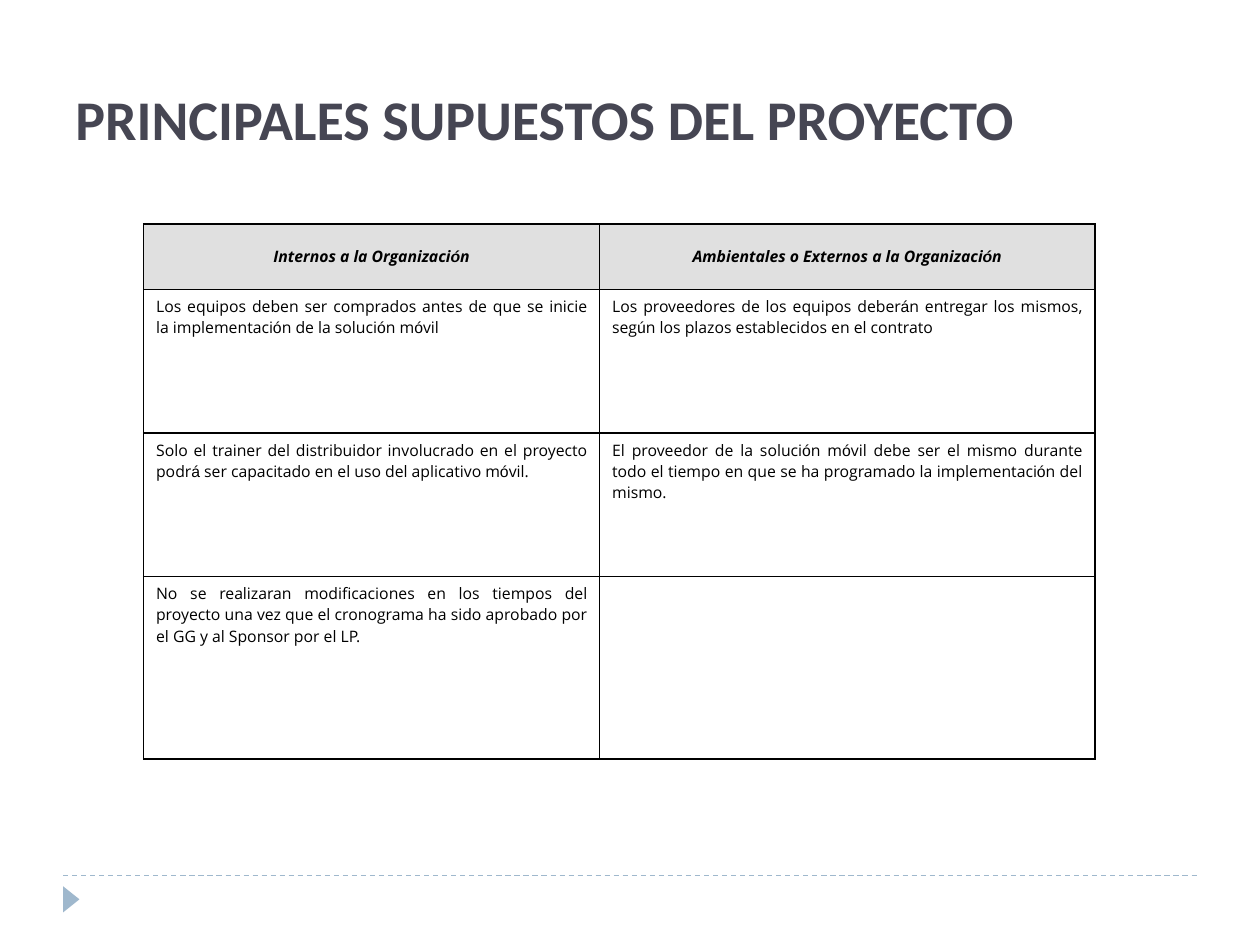
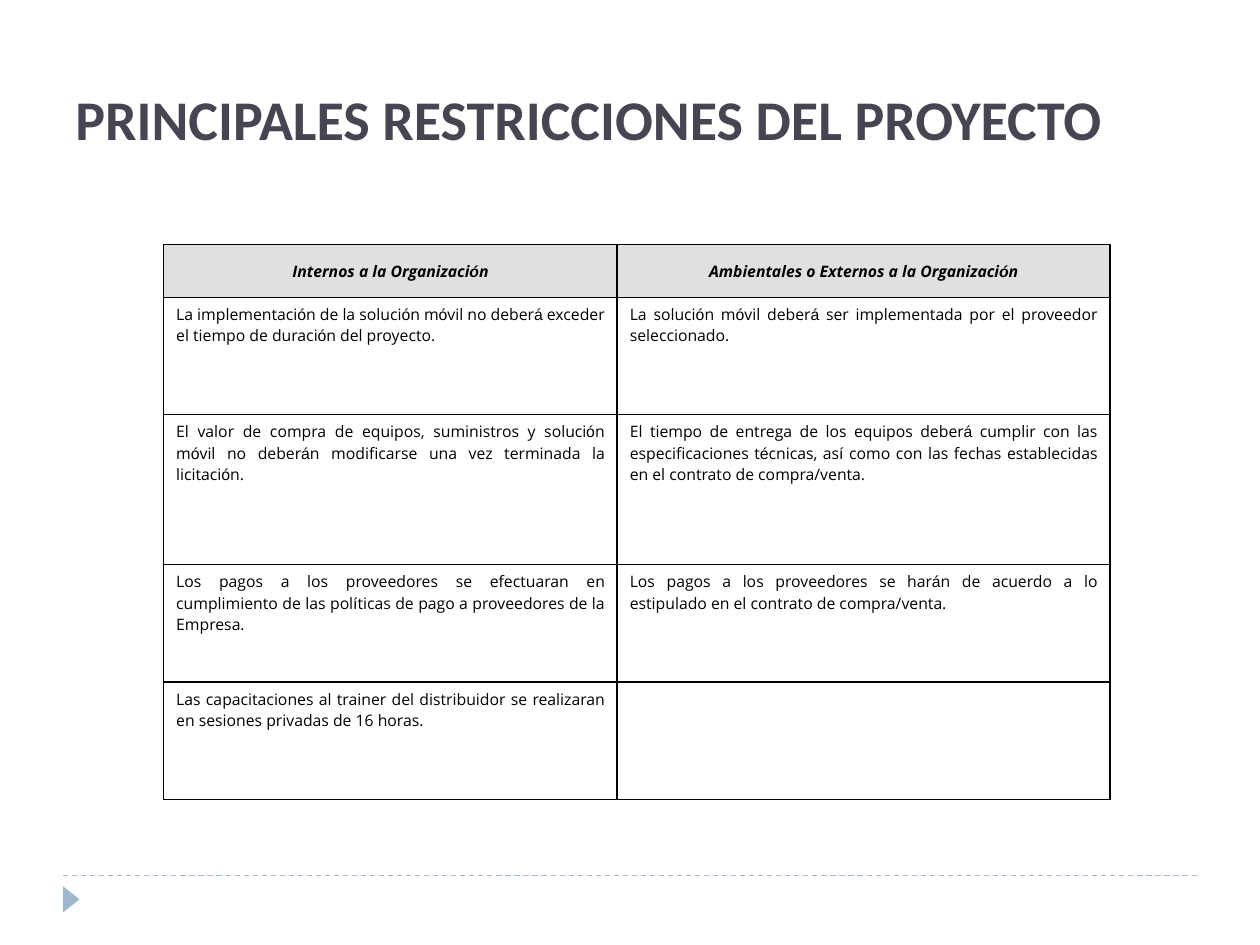
from itertools import groupby

from lxml import etree
from pptx import Presentation
from pptx.dml.color import RGBColor
from pptx.enum import dml, shapes, text
from pptx.oxml import ns
from pptx.util import Pt

BLACK = RGBColor(0x00, 0x00, 0x00)
HEADER_GREY = RGBColor(0xE0, 0xE0, 0xE0)
SLATE = RGBColor(0x46, 0x46, 0x53)
SKY = RGBColor(0x9F, 0xB8, 0xCD)

TITLE_FONT, BODY_FONT, ACCENT_FONT = "Calibri", "Open Sans", "Arial"
TITLE_BOX = (36, 12.24, 648, 77.76)
FOOTER_BOX = (36, 500.4, 648, 21)

HEADINGS = ("Internos a la Organización", "Ambientales o Externos a la Organización")

SLIDES = [
    {
        "title": "PRINCIPALES SUPUESTOS DEL PROYECTO",
        "origin": (82, 128),
        "columns": (260.6, 283),
        "heights": (37.4, 82, 82, 104.4),
        "rows": [
            ("Los equipos deben ser comprados antes de que se inicie la "
             "implementación de la solución móvil",
             "Los proveedores de los equipos deberán entregar los mismos, "
             "según los plazos establecidos en el contrato"),
            ("Solo el trainer del distribuidor involucrado en el proyecto "
             "podrá ser capacitado en el uso del aplicativo móvil.",
             "El proveedor de la solución móvil debe ser el mismo durante todo "
             "el tiempo en que se ha programado la implementación del mismo."),
            ("No se realizaran modificaciones en los tiempos del proyecto una "
             "vez que el cronograma ha sido aprobado por el GG y al Sponsor "
             "por el LP.",
             ""),
        ],
    },
    {
        "title": "PRINCIPALES RESTRICCIONES DEL PROYECTO",
        "origin": (93.5, 139.7),
        "columns": (259.2, 281.6),
        "heights": (30.2, 67.1, 85.7, 67.1, 67.1),
        "rows": [
            ("La implementación de la solución móvil no deberá exceder el "
             "tiempo de duración del proyecto.",
             "La solución móvil deberá ser implementada por el proveedor "
             "seleccionado."),
            ("El valor de compra de equipos, suministros y solución móvil no "
             "deberán modificarse una vez terminada la licitación.",
             "El tiempo de entrega de los equipos deberá cumplir con las "
             "especificaciones técnicas, así como con las fechas establecidas "
             "en el contrato de compra/venta."),
            ("Los pagos a los proveedores se efectuaran en cumplimiento de las "
             "políticas de pago a proveedores de la Empresa.",
             "Los pagos a los proveedores se harán de acuerdo a lo estipulado "
             "en el contrato de compra/venta."),
            ("Las capacitaciones al trainer del distribuidor se realizaran en "
             "sesiones privadas de 16 horas.",
             ""),
        ],
    },
]


def add_title(slide, box, wording):
    """Place the slide title at the bottom of its box."""
    frame = slide.shapes.add_textbox(*map(Pt, box)).text_frame
    frame.word_wrap = True
    frame.vertical_anchor = text.MSO_ANCHOR.BOTTOM
    title = frame.paragraphs[0]
    title.text = wording
    title.font.name = TITLE_FONT
    title.font.size = Pt(32)
    title.font.bold = True
    title.font.color.rgb = SLATE


def add_footer(slide, box):
    """Draw the dashed rule and the arrow mark below its left end."""
    left, top, width, height = box
    rule = slide.shapes.add_connector(
        shapes.MSO_CONNECTOR.STRAIGHT, Pt(left), Pt(top), Pt(left + width), Pt(top))
    rule.line.color.rgb = SKY
    rule.line.width = Pt(0.75)
    rule.line.dash_style = dml.MSO_LINE.DASH
    etree.SubElement(rule._element.spPr, ns.qn("a:effectLst"))

    length, depth = 15, 9.4
    center_x, center_y = left + depth / 2, top + height - length / 2
    arrow = slide.shapes.add_shape(
        shapes.MSO_SHAPE.ISOSCELES_TRIANGLE, Pt(center_x - length / 2),
        Pt(center_y - depth / 2), Pt(length), Pt(depth))
    arrow.rotation = 90
    arrow.shadow.inherit = False
    arrow.fill.solid()
    arrow.fill.fore_color.rgb = SKY
    arrow.line.fill.background()


def add_borders(cell):
    """Give a cell a thin black line on all four sides."""
    properties = cell._tc.get_or_add_tcPr()
    for side in ("lnL", "lnR", "lnT", "lnB"):
        border = etree.SubElement(properties, ns.qn(f"a:{side}"), w=str(Pt(1)))
        fill = etree.SubElement(border, ns.qn("a:solidFill"))
        etree.SubElement(fill, ns.qn("a:srgbClr"), val=str(BLACK))


def fill_cell(cell, wording, is_header):
    """Write and style one cell, with accented letters in their own font."""
    add_borders(cell)
    if is_header:
        cell.fill.solid()
        cell.fill.fore_color.rgb = HEADER_GREY
        cell.vertical_anchor = text.MSO_ANCHOR.MIDDLE
    else:
        cell.fill.background()
    entry = cell.text_frame.paragraphs[0]
    entry.alignment = text.PP_ALIGN.CENTER if is_header else text.PP_ALIGN.JUSTIFY
    entry.font.size = Pt(9)
    entry.font.bold = entry.font.italic = is_header
    entry.font.color.rgb = BLACK
    for plain, letters in groupby(wording, str.isascii):
        run = entry.add_run()
        run.text = "".join(letters)
        run.font.name = BODY_FONT if plain else ACCENT_FONT


def add_factors(slide, origin, columns, heights, rows):
    """Build the table of internal and external factors."""
    box = (*origin, sum(columns), sum(heights))
    table = slide.shapes.add_table(len(heights), len(columns), *map(Pt, box)).table
    table.first_row = table.horz_banding = False
    for column, width in zip(table.columns, columns):
        column.width = Pt(width)
    for index, (height, entries) in enumerate(zip(heights, [HEADINGS, *rows])):
        table.rows[index].height = Pt(height)
        for cell, wording in zip(table.rows[index].cells, entries):
            fill_cell(cell, wording, index == 0)


def main():
    """Build and save the presentation."""
    deck = Presentation()
    deck.slide_width, deck.slide_height = Pt(720), Pt(540)
    for content in SLIDES:
        slide = deck.slides.add_slide(deck.slide_layouts[6])
        add_footer(slide, FOOTER_BOX)
        add_title(slide, TITLE_BOX, content["title"])
        add_factors(slide, content["origin"], content["columns"],
                    content["heights"], content["rows"])
    deck.save("out.pptx")


main()
